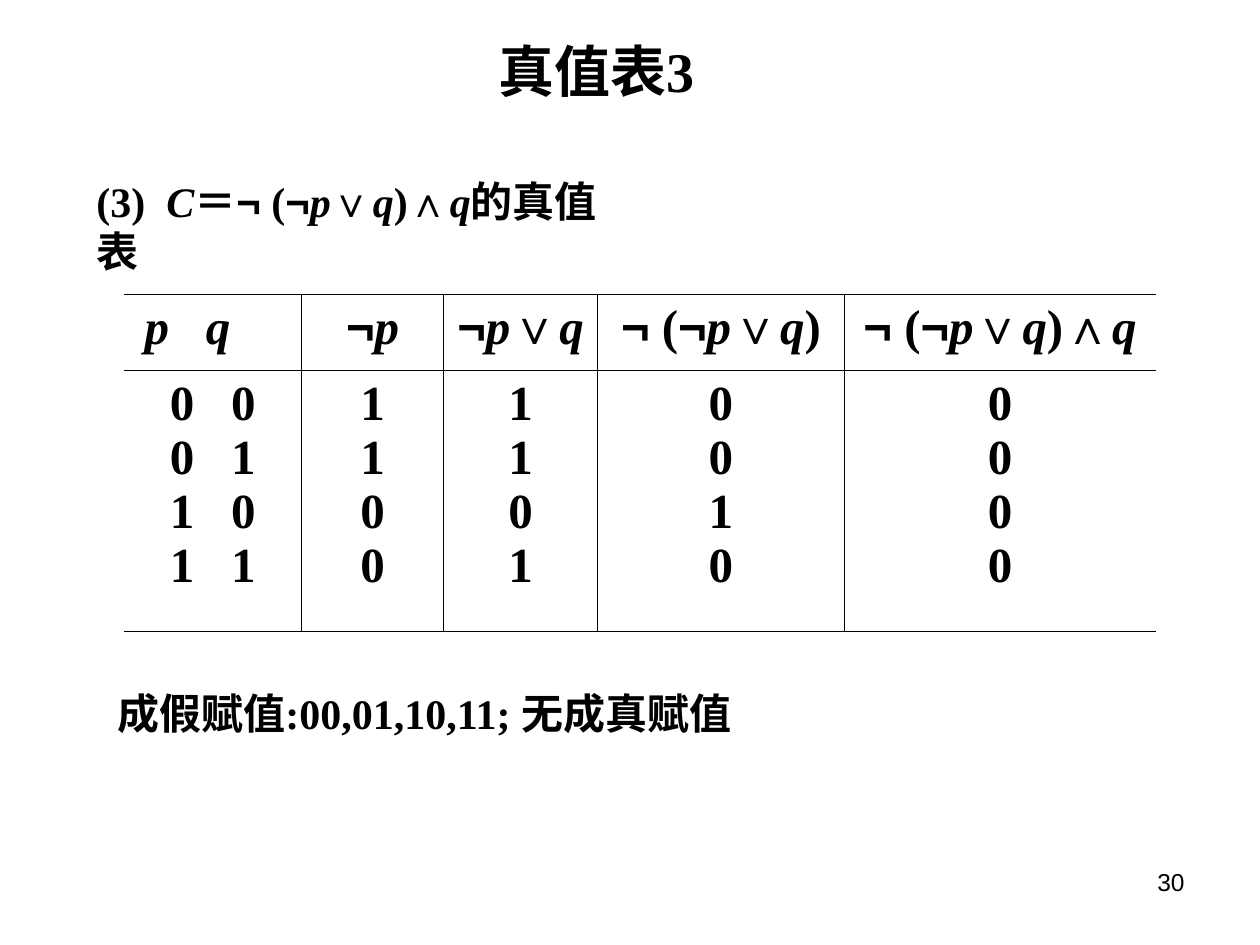
from itertools import groupby

from lxml.etree import SubElement
from pptx import Presentation
from pptx.dml.color import RGBColor
from pptx.enum.text import MSO_ANCHOR, PP_ALIGN
from pptx.oxml.ns import qn
from pptx.util import Pt

# Content
TITLE = "真值表3"
QUESTION = ("(3) ", "C＝¬ (¬p∨q)∧q的真值表")
ANSWER = "成假赋值:00,01,10,11; 无成真赋值"
PAGE_NUMBER = "30"
HEADERS = ["p q", "¬p", "¬p∨q", "¬ (¬p∨q)", "¬ (¬p∨q)∧q"]
COLUMN_VALUES = [
    ["0 0", "0 1", "1 0", "1 1"],
    ["1", "1", "0", "0"],
    ["1", "1", "0", "1"],
    ["0", "0", "1", "0"],
    ["0", "0", "0", "0"],
]

# Style and geometry, in points
COLORS = {"ink": "000000"}
SERIF, SANS, CHINESE = "Times New Roman", "Arial", "Noto Sans CJK SC"
COLUMN_WIDTHS = [101.5, 81.2, 88, 141, 178]
ROW_HEIGHTS = [43.6, 149.2]
BORDER_WIDTH = 0.45
PAIR_GAP = 14
HEADER_RIGHT_INSET = 36


def kind_of(character):
    if character in "¬∨∧":
        return "operator"
    if character in "pqC":
        return "variable"
    if character == " ":
        return "space"
    return "chinese" if "一" <= character <= "鿿" else "plain"


def write(para, text, size, gap=0, bold=True, font=SERIF):
    """Add styled runs; gap is extra width for each space."""
    for kind, characters in groupby(text, kind_of):
        span = para.add_run()
        span.text = "".join(characters)
        span.font.size = Pt(size)
        span.font.bold = bold
        span.font.italic = kind == "variable"
        span.font.name = {"operator": SANS, "chinese": CHINESE}.get(kind, font)
        span.font.color.rgb = RGBColor.from_string(COLORS["ink"])
        properties = span.font._element
        if kind == "space" and gap:
            properties.set("spc", str(gap * 100))
        east_asian = SubElement(properties, qn("a:ea"), typeface=CHINESE)
        properties.find(qn("a:latin")).addnext(east_asian)


def add_box(page, left, top, width, height, wrap=False):
    box = page.shapes.add_textbox(Pt(left), Pt(top), Pt(width), Pt(height))
    box.text_frame.word_wrap = wrap
    box.text_frame.vertical_anchor = MSO_ANCHOR.MIDDLE
    return box.text_frame.paragraphs[0]


def set_borders(cell, visible_sides):
    properties = cell._tc.get_or_add_tcPr()
    lines = []
    for side in "LRTB":
        line = SubElement(properties, qn(f"a:ln{side}"), w=str(Pt(BORDER_WIDTH)))
        if side in visible_sides:
            fill = SubElement(line, qn("a:solidFill"))
            SubElement(fill, qn("a:srgbClr"), val=COLORS["ink"])
        else:
            SubElement(line, qn("a:noFill"))
        lines.append(line)
    # Borders come before the cell fill
    for position, line in enumerate(lines):
        properties.insert(position, line)


deck = Presentation()
deck.slide_width, deck.slide_height = Pt(720), Pt(540)
page = deck.slides.add_slide(deck.slide_layouts[5])

# Title, with room to spare on the right so that it stays on one line
title = page.shapes.title
title.left, title.top, title.width, title.height = Pt(277.5), Pt(17.3), Pt(160), Pt(46)
title.text_frame.word_wrap = True
title.text_frame.vertical_anchor = MSO_ANCHOR.TOP
title_para = title.text_frame.paragraphs[0]
title_para.alignment = PP_ALIGN.LEFT
write(title_para, TITLE, 32)

# Question
question_para = add_box(page, 48, 111, 312, 36, wrap=True)
write(question_para, QUESTION[0], 24, gap=6)
write(question_para, QUESTION[1], 24)

# Truth table
table = page.shapes.add_table(
    2, len(HEADERS), Pt(70.8), Pt(168), Pt(sum(COLUMN_WIDTHS)), Pt(sum(ROW_HEIGHTS))
).table
table.first_row = table.horz_banding = False
for row, height in zip(table.rows, ROW_HEIGHTS):
    row.height = Pt(height)
last = len(HEADERS) - 1
for index, (header, values) in enumerate(zip(HEADERS, COLUMN_VALUES)):
    table.columns[index].width = Pt(COLUMN_WIDTHS[index])
    gap = PAIR_GAP if index == 0 else 0
    sides = "TB" + ("L" if index > 0 else "") + ("R" if index < last else "")
    for row_index, lines in enumerate([[header], values]):
        cell = table.cell(row_index, index)
        cell.fill.background()
        set_borders(cell, sides)
        for line_index, line in enumerate(lines):
            frame = cell.text_frame
            para = frame.paragraphs[0] if line_index == 0 else frame.add_paragraph()
            para.alignment = PP_ALIGN.CENTER
            write(para, line, 28, gap)
table.cell(0, 0).margin_right = Pt(HEADER_RIGHT_INSET)

# Answer
write(add_box(page, 60, 389, 378, 36), ANSWER, 24)

# Page number
number_para = add_box(page, 516, 492, 168, 37.5, wrap=True)
number_para.alignment = PP_ALIGN.RIGHT
write(number_para, PAGE_NUMBER, 14, bold=False, font=SANS)
page.shapes[-1].text_frame.vertical_anchor = MSO_ANCHOR.TOP

deck.save("out.pptx")
